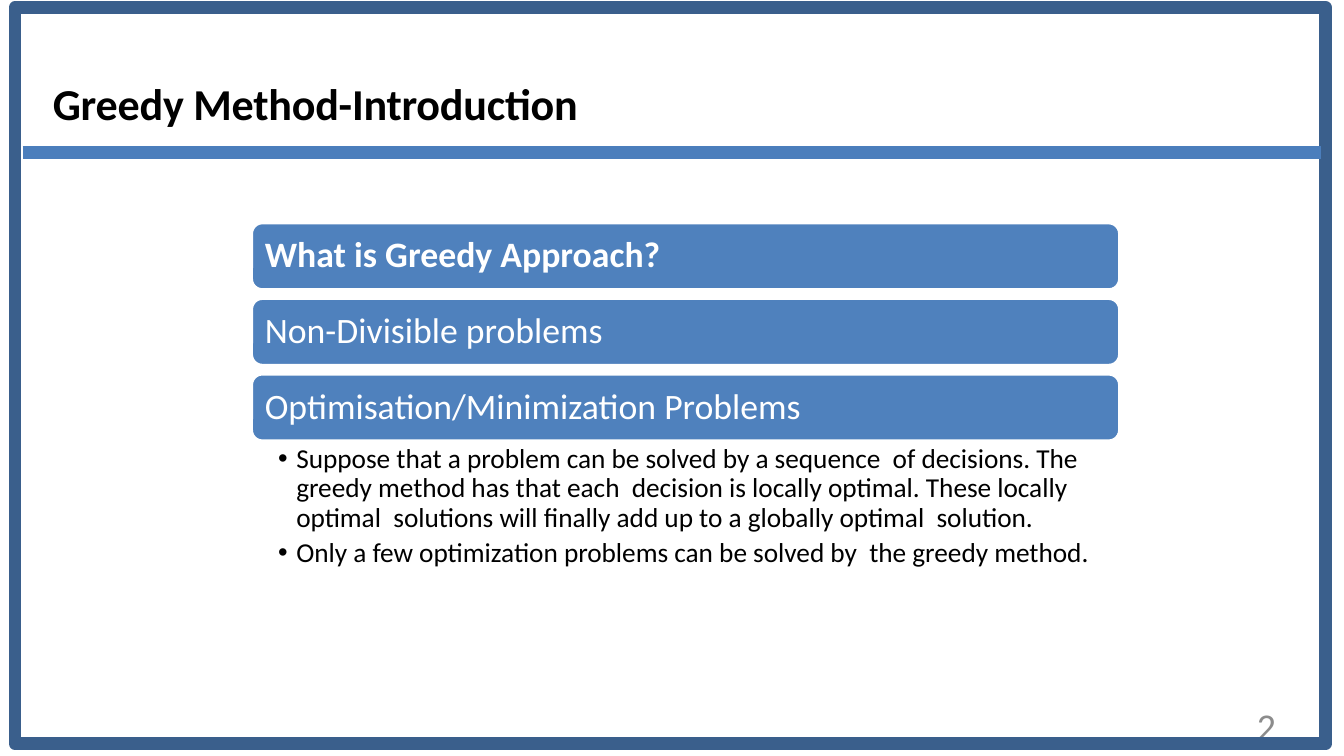
from lxml.etree import SubElement
from pptx import Presentation
from pptx.dml.color import RGBColor
from pptx.enum.shapes import MSO_CONNECTOR as Connector, MSO_SHAPE as Shape
from pptx.enum.text import MSO_ANCHOR as Anchor, PP_ALIGN as Align
from pptx.oxml.ns import qn
from pptx.util import Inches, Pt

WIDTH, HEIGHT = 8.89, 5
TOPICS = ["What is Greedy Approach?", "Non-Divisible problems",
          "Optimisation/Minimization Problems"]
DETAILS = [
    "Suppose that a problem can be solved by a sequence  of decisions. The greedy method "
    "has that each  decision is locally optimal. These locally optimal  solutions will "
    "finally add up to a globally optimal  solution.",
    "Only a few optimization problems can be solved by  the greedy method.",
]


def color(code):
    """Turn a hex string into a colour."""
    return RGBColor.from_string(code)


def inches(box):
    """Turn a box given in inches into lengths."""
    return [Inches(value) for value in box]


def outline(shape, code, width):
    """Set the line colour and width of a shape."""
    shape.line.color.rgb = color(code)
    shape.line.width = Pt(width)


def write(shape, lines, size, code, insets=(0, 0, 0, 0), bold=False, align=Align.LEFT,
          anchor=Anchor.MIDDLE, spacing=0.9):
    """Fill a shape with formatted paragraphs and return them."""
    frame = shape.text_frame
    frame.word_wrap = True
    frame.vertical_anchor = anchor
    (frame.margin_left, frame.margin_top,
     frame.margin_right, frame.margin_bottom) = inches(insets)
    frame.text = "\n".join(lines)
    for para in frame.paragraphs:
        para.alignment = align
        para.line_spacing = spacing
        for span in para.runs:
            span.font.name = "Calibri"
            span.font.size = Pt(size)
            span.font.bold = bold
            span.font.color.rgb = color(code)
    return frame.paragraphs


def add_topics(page, box):
    """Stack the topic bars in the box with equal gaps."""
    left, top, width, height = box
    bar = 0.45
    step = (height - bar) / (len(TOPICS) - 1)
    for row, topic in enumerate(TOPICS):
        shape = page.shapes.add_shape(
            Shape.ROUNDED_RECTANGLE, *inches((left, top + row * step, width, bar)))
        shape.shadow.inherit = False
        shape.fill.solid()
        shape.fill.fore_color.rgb = color("4F81BD")
        outline(shape, "FFFFFF", 2)
        write(shape, [topic], 17, "FFFFFF", (0.07, 0.07, 0.07, 0.07), bold=row == 0)


def add_details(page, box):
    """Write the bulleted details in the box."""
    shape = page.shapes.add_textbox(*inches(box))
    paras = write(shape, DETAILS, 13, "000000", (0.18, 0.02, 0.13, 0.02), anchor=Anchor.TOP)
    for para in paras:
        para.space_after = Pt(2.6)
        props = para._p.get_or_add_pPr()
        props.set("marL", str(Inches(0.12)))
        props.set("indent", str(-Inches(0.12)))
        SubElement(props, qn("a:buFont")).set("typeface", "Arial")
        SubElement(props, qn("a:buChar")).set("char", "•")


def add_title(page, box):
    """Write the slide title in the box."""
    shape = page.shapes.add_textbox(*inches(box))
    paras = write(shape, ["Greedy Method-Introduction"], 21, "000000", bold=True)
    paras[0].runs[0].font._element.set("spc", "-10")


def add_number(page, box):
    """Write the slide number in the box."""
    shape = page.shapes.add_textbox(*inches(box))
    write(shape, ["2"], 18, "8C8C8C", align=Align.RIGHT, anchor=Anchor.TOP, spacing=1.0)


def add_frame(page, box, rule):
    """Draw the frame on the box and the rule across it at a given height."""
    left, top, width, height = box
    frame = page.shapes.add_shape(Shape.RECTANGLE, *inches(box))
    frame.shadow.inherit = False
    frame.fill.background()
    outline(frame, "3A5F8C", 6)
    line = page.shapes.add_connector(
        Connector.STRAIGHT, *inches((left + 0.05, rule, left + width - 0.03, rule)))
    outline(line, "4B7EBC", 6)
    SubElement(line._element.spPr, qn("a:effectLst"))


def main():
    """Build the slide and save it."""
    deck = Presentation()
    deck.slide_width, deck.slide_height = inches((WIDTH, HEIGHT))
    page = deck.slides.add_slide(deck.slide_layouts[6])
    left, width = 1.66, 5.75
    add_topics(page, (left, 1.47, width, 1.45))
    add_details(page, (left, 2.92, width, 0.89))
    add_number(page, (6.4, 4.65, 2.04, 0.3))
    add_title(page, (0.35, 0.22, 5.4, 0.97))
    add_frame(page, (0.1, 0.05, 8.67, 4.87), rule=1.01)
    deck.save("out.pptx")


if __name__ == "__main__":
    main()
